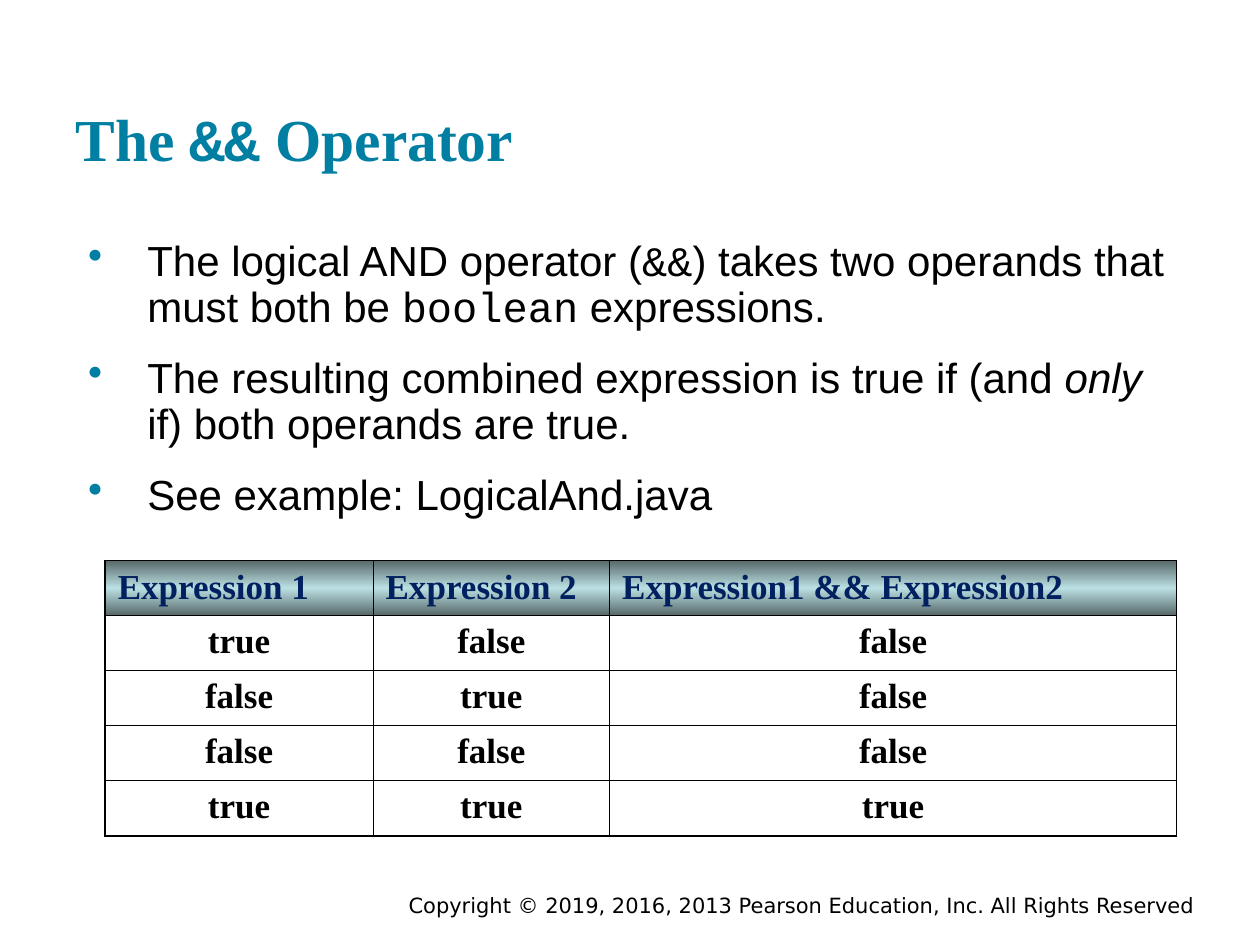
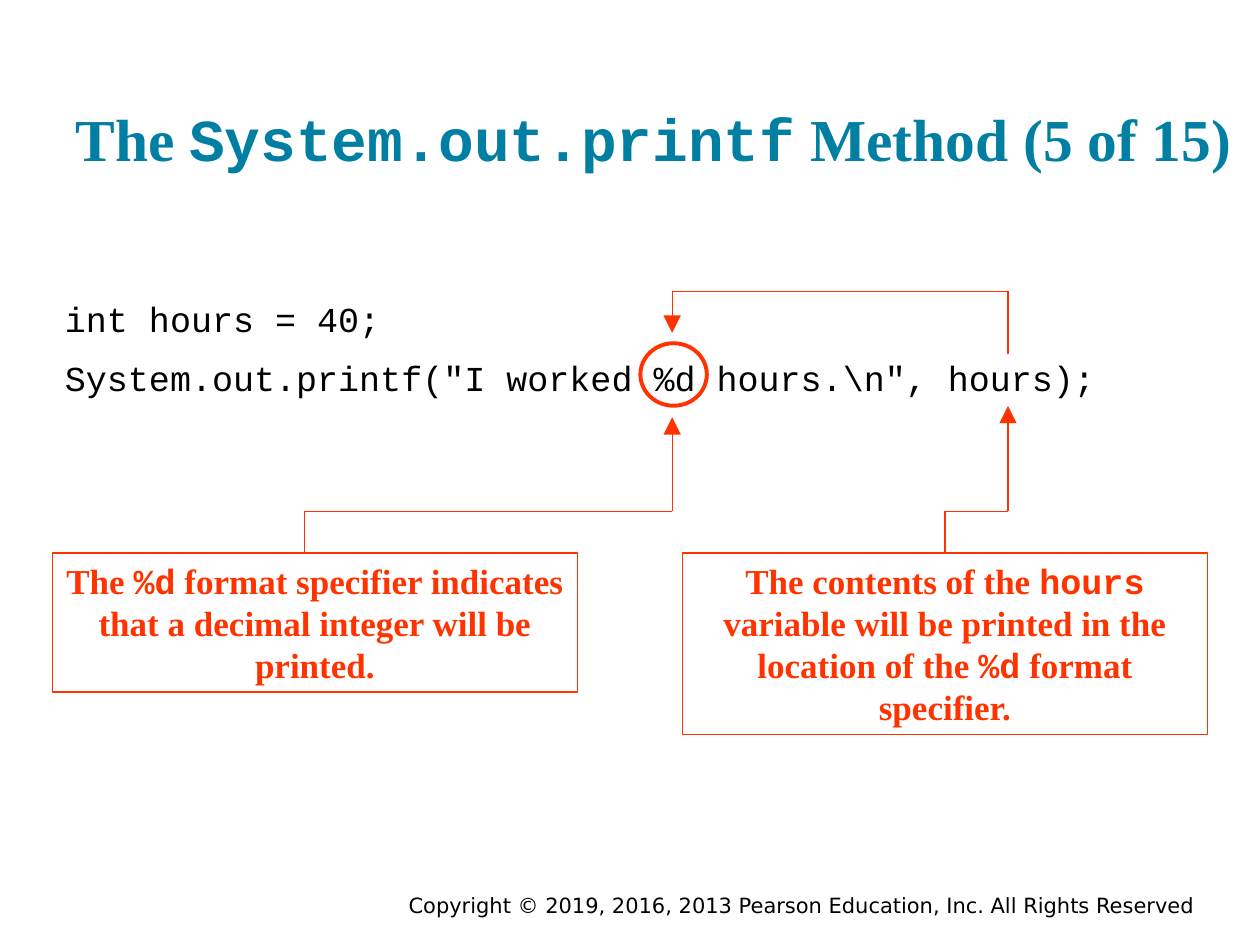
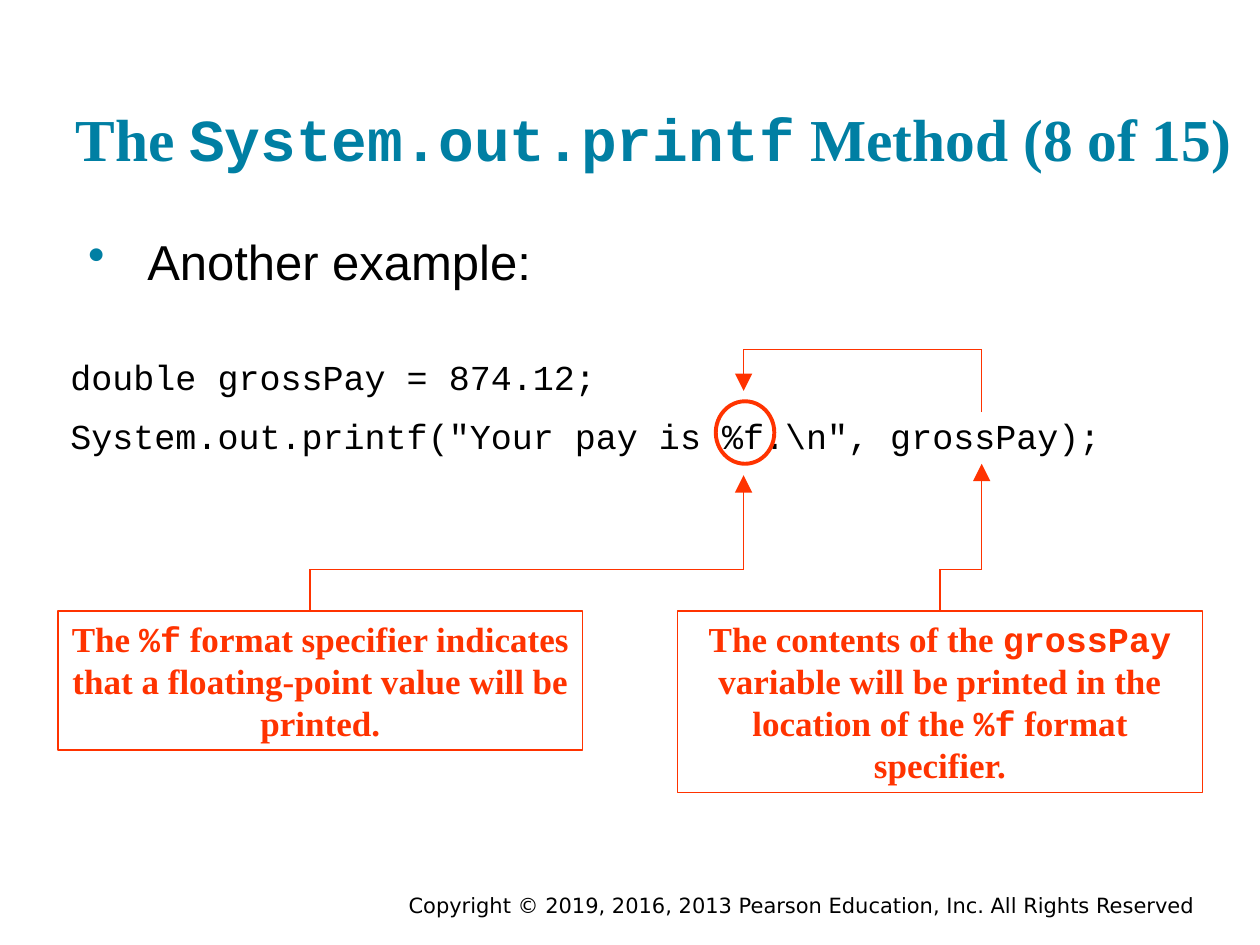
from dataclasses import dataclass
from itertools import pairwise

from lxml.etree import SubElement
from pptx import Presentation
from pptx.dml.color import RGBColor
from pptx.enum.shapes import MSO_CONNECTOR, MSO_SHAPE
from pptx.enum.text import MSO_ANCHOR, MSO_AUTO_SIZE, PP_ALIGN
from pptx.oxml.ns import qn
from pptx.util import Cm, Pt


@dataclass(frozen=True)
class Theme:
    accent: str = "007FA3"
    ink: str = "000000"
    callout: str = "FF3300"
    header_text: str = "002060"
    header_gradient: tuple = ((0, "576869"), (50, "BBE0E3"), (100, "576869"))
    serif: str = "Times New Roman"
    sans: str = "Arial"
    mono: str = "Courier New"
    footer_font: str = "DejaVu Sans"
    title_size: int = 34
    small_size: int = 20
    footer_size: int = 12
    thin_line: float = 0.75
    circle_line: float = 2.25
    table_frame: float = 1.08
    table_grid: float = 0.45


THEME = Theme()

# Content: `code` is set in the mono font, *words* in italics
COPYRIGHT = "Copyright © 2019, 2016, 2013 Pearson Education, Inc. All Rights Reserved"

AND_SLIDE = {
    "title": "The `&&` Operator",
    "title_width": 22.86,
    "bullets": [
        "The logical AND operator (`&&`) takes two operands that must both be `boolean` expressions.",
        "The resulting combined expression is true if (and *only* if) both operands are true.",
        "See example: LogicalAnd.java",
    ],
    "bullets_top": 4.6,
    "bullet_size": 24,
    "line_spacing": 0.9,
    "table": [
        ("Expression 1", "Expression 2", "Expression1 && Expression2"),
        ("true", "false", "false"),
        ("false", "true", "false"),
        ("false", "false", "false"),
        ("true", "true", "true"),
    ],
}
TABLE_COLUMNS = (5.4, 4.77, 11.43)
TABLE_ROW = 1.11

INTEGER_SLIDE = {
    "title": "The `System.out.printf` Method (5 of 15)",
    "title_width": 23.93,
    "code": ["int hours = 40;", 'System.out.printf("I worked %d hours.\\n", hours);'],
    "specifier_note": "The `%d` format specifier indicates that a decimal integer will be printed.",
    "variable_note": "The contents of the `hours` variable will be printed "
                     "in the location of the `%d` format specifier.",
    "top": 5.87, "left": 1.06, "variable_note_left": 13.76,
    "specifier_x": 13.55, "variable_x": 20.32, "circle_width": 1.34,
}
FLOAT_SLIDE = {
    "title": "The `System.out.printf` Method (8 of 15)",
    "title_width": 23.88,
    "bullets": ["Another example:"],
    "bullets_top": 4.42,
    "bullet_size": 28,
    "line_spacing": 1.0,
    "code": ["double grossPay = 874.12;", 'System.out.printf("Your pay is %f.\\n", grossPay);'],
    "specifier_note": "The `%f` format specifier indicates that a floating-point value will be printed.",
    "variable_note": "The contents of the `grossPay` variable will be printed "
                     "in the location of the `%f` format specifier.",
    "top": 7.04, "left": 1.17, "variable_note_left": 13.66,
    "specifier_x": 14.99, "variable_x": 19.79, "circle_width": 1.18,
}


# Text helpers
def style_run(run, font, size, color, bold=False, italic=False):
    run.font.name = font
    run.font.size = Pt(size)
    run.font.color.rgb = RGBColor.from_string(color)
    run.font.bold = bold
    run.font.italic = italic


def write_marked(paragraph, text, font, size, color, bold=False):
    for code_index, section in enumerate(text.split("`")):
        is_code = code_index % 2 == 1
        parts = [section] if is_code else section.split("*")
        for italic_index, part in enumerate(parts):
            if part:
                run = paragraph.add_run()
                run.text = part
                style_run(run, THEME.mono if is_code else font, size, color,
                          bold, italic_index % 2 == 1)


def add_text_frame(slide, left, top, width, height):
    text_box = slide.shapes.add_textbox(Cm(left), Cm(top), Cm(width), Cm(height))
    text_box.text_frame.word_wrap = True
    return text_box.text_frame


def set_margins(text_frame, margin):
    text_frame.margin_left = text_frame.margin_right = Cm(margin)
    text_frame.margin_top = text_frame.margin_bottom = Cm(margin)


def paragraphs_for(text_frame, texts):
    for index, text in enumerate(texts):
        yield index, text, text_frame.add_paragraph() if index else text_frame.paragraphs[0]


# Parts shared by the slides
def add_titled_slide(presentation, content):
    slide = presentation.slides.add_slide(presentation.slide_layouts[5])
    footer = add_text_frame(slide, 4.45, 17.86, 19.89, 0.56).paragraphs[0]
    footer.alignment = PP_ALIGN.RIGHT
    write_marked(footer, COPYRIGHT, THEME.footer_font, THEME.footer_size, THEME.ink)

    title = slide.shapes.title
    title.left, title.top = Cm(1.27), Cm(0.69)
    title.width, title.height = Cm(content["title_width"]), Cm(3.05)
    frame = title.text_frame
    frame.auto_size = MSO_AUTO_SIZE.NONE
    frame.vertical_anchor = MSO_ANCHOR.BOTTOM
    set_margins(frame, 0.25)
    frame.paragraphs[0].alignment = PP_ALIGN.LEFT
    write_marked(frame.paragraphs[0], content["title"], THEME.serif,
                 THEME.title_size, THEME.accent, bold=True)
    return slide


def add_bullets(slide, content):
    frame = add_text_frame(slide, 1.27, content["bullets_top"], 22.86, 12.57)
    set_margins(frame, 0.25)
    for index, text, paragraph in paragraphs_for(frame, content["bullets"]):
        paragraph.line_spacing = content["line_spacing"]
        if index:
            paragraph.space_before = Pt(15)
        properties = paragraph._p.get_or_add_pPr()
        properties.set("marL", str(Cm(1.45)))
        properties.set("indent", str(-Cm(1.19)))
        bullet_color = SubElement(properties, qn("a:buClr"))
        SubElement(bullet_color, qn("a:srgbClr"), val=THEME.accent)
        SubElement(properties, qn("a:buChar"), char="•")
        write_marked(paragraph, text, THEME.sans, content["bullet_size"], THEME.ink)


# Truth table
def set_border(cell, side, width):
    line = SubElement(cell._tc.get_or_add_tcPr(), qn(f"a:ln{side}"), w=str(Pt(width)))
    fill = SubElement(line, qn("a:solidFill"))
    SubElement(fill, qn("a:srgbClr"), val=THEME.ink)


def fill_header(cell):
    gradient = SubElement(cell._tc.get_or_add_tcPr(), qn("a:gradFill"))
    stops = SubElement(gradient, qn("a:gsLst"))
    for percent, color in THEME.header_gradient:
        stop = SubElement(stops, qn("a:gs"), pos=str(percent * 1000))
        SubElement(stop, qn("a:srgbClr"), val=color)
    SubElement(gradient, qn("a:lin"), ang="5400000", scaled="0")


def add_truth_table(slide, rows):
    last_row, last_column = len(rows) - 1, len(TABLE_COLUMNS) - 1
    table = slide.shapes.add_table(
        len(rows), len(TABLE_COLUMNS), Cm(2.12), Cm(11.3),
        Cm(sum(TABLE_COLUMNS)), Cm(TABLE_ROW * len(rows))).table
    table.first_row = table.horz_banding = False
    for column, width in zip(table.columns, TABLE_COLUMNS):
        column.width = Cm(width)
    for row_index, values in enumerate(rows):
        table.rows[row_index].height = Cm(TABLE_ROW)
        is_header = row_index == 0
        for column_index, value in enumerate(values):
            cell = table.cell(row_index, column_index)
            on_frame = {"L": column_index == 0, "R": column_index == last_column,
                        "T": is_header, "B": row_index == last_row}
            for side, outer in on_frame.items():
                set_border(cell, side, THEME.table_frame if outer else THEME.table_grid)
            if is_header:
                fill_header(cell)
                cell.vertical_anchor = MSO_ANCHOR.MIDDLE
            else:
                cell.fill.background()
            paragraph = cell.text_frame.paragraphs[0]
            paragraph.alignment = PP_ALIGN.LEFT if is_header else PP_ALIGN.CENTER
            write_marked(paragraph, value, THEME.serif, THEME.small_size,
                         THEME.header_text if is_header else THEME.ink, bold=True)


# Annotated code
def add_outline(slide, preset, left, top, width, height, line_width):
    shape = slide.shapes.add_shape(preset, Cm(left), Cm(top), Cm(width), Cm(height))
    shape.shadow.inherit = False
    shape.fill.background()
    shape.line.color.rgb = RGBColor.from_string(THEME.callout)
    shape.line.width = Pt(line_width)
    return shape


def add_note(slide, text, left, top, width, height):
    note = add_outline(slide, MSO_SHAPE.RECTANGLE, left, top, width, height, THEME.thin_line)
    frame = note.text_frame
    frame.word_wrap = True
    frame.vertical_anchor = MSO_ANCHOR.TOP
    frame.paragraphs[0].alignment = PP_ALIGN.CENTER
    write_marked(frame.paragraphs[0], text, THEME.serif, THEME.small_size,
                 THEME.callout, bold=True)


def add_arrow_path(slide, points):
    for start, end in pairwise(points):
        connector = slide.shapes.add_connector(
            MSO_CONNECTOR.STRAIGHT, *(Cm(value) for value in start + end))
        connector.line.color.rgb = RGBColor.from_string(THEME.callout)
        connector.line.width = Pt(THEME.thin_line)
        if end == points[-1]:
            SubElement(connector.line._get_or_add_ln(), qn("a:tailEnd"),
                       type="triangle", w="lg", len="lg")
        SubElement(connector._element.spPr, qn("a:effectLst"))


def add_annotated_code(slide, content):
    top, left = content["top"], content["left"]
    specifier_x, variable_x = content["specifier_x"], content["variable_x"]
    note_top, elbow_y, note_width = top + 5.28, top + 4.44, 10.58
    variable_note_left = content["variable_note_left"]

    frame = add_text_frame(slide, left, top, 23.06, 2.31)
    for index, line, paragraph in paragraphs_for(frame, content["code"]):
        paragraph.text = line
        paragraph.space_after = Pt(5)
        if index:
            paragraph.space_before = Pt(5)
        style_run(paragraph.runs[0], THEME.mono, THEME.small_size, THEME.ink)

    circle_width = content["circle_width"]
    add_outline(slide, MSO_SHAPE.OVAL, specifier_x + 0.03 - circle_width / 2,
                top + 1.05, circle_width, 1.26, THEME.circle_line)
    add_note(slide, content["specifier_note"], left, note_top, note_width, 2.8)
    add_note(slide, content["variable_note"], variable_note_left, note_top, note_width, 3.66)

    # Variable to specifier, then each note to its place in the code
    add_arrow_path(slide, [(variable_x, top + 1.27), (variable_x, top),
                           (specifier_x, top), (specifier_x, top + 0.84)])
    for start_x, end_x, tip_y in (
            (left + 5.08, specifier_x, top + 2.54),
            (variable_note_left + note_width / 2, variable_x, top + 2.31)):
        add_arrow_path(slide, [(start_x, note_top), (start_x, elbow_y),
                               (end_x, elbow_y), (end_x, tip_y)])


def main():
    presentation = Presentation()
    presentation.slide_width, presentation.slide_height = Cm(25.4), Cm(19.05)
    for content in (AND_SLIDE, INTEGER_SLIDE, FLOAT_SLIDE):
        slide = add_titled_slide(presentation, content)
        if "bullets" in content:
            add_bullets(slide, content)
        if "table" in content:
            add_truth_table(slide, content["table"])
        if "code" in content:
            add_annotated_code(slide, content)
    presentation.save("out.pptx")


if __name__ == "__main__":
    main()
